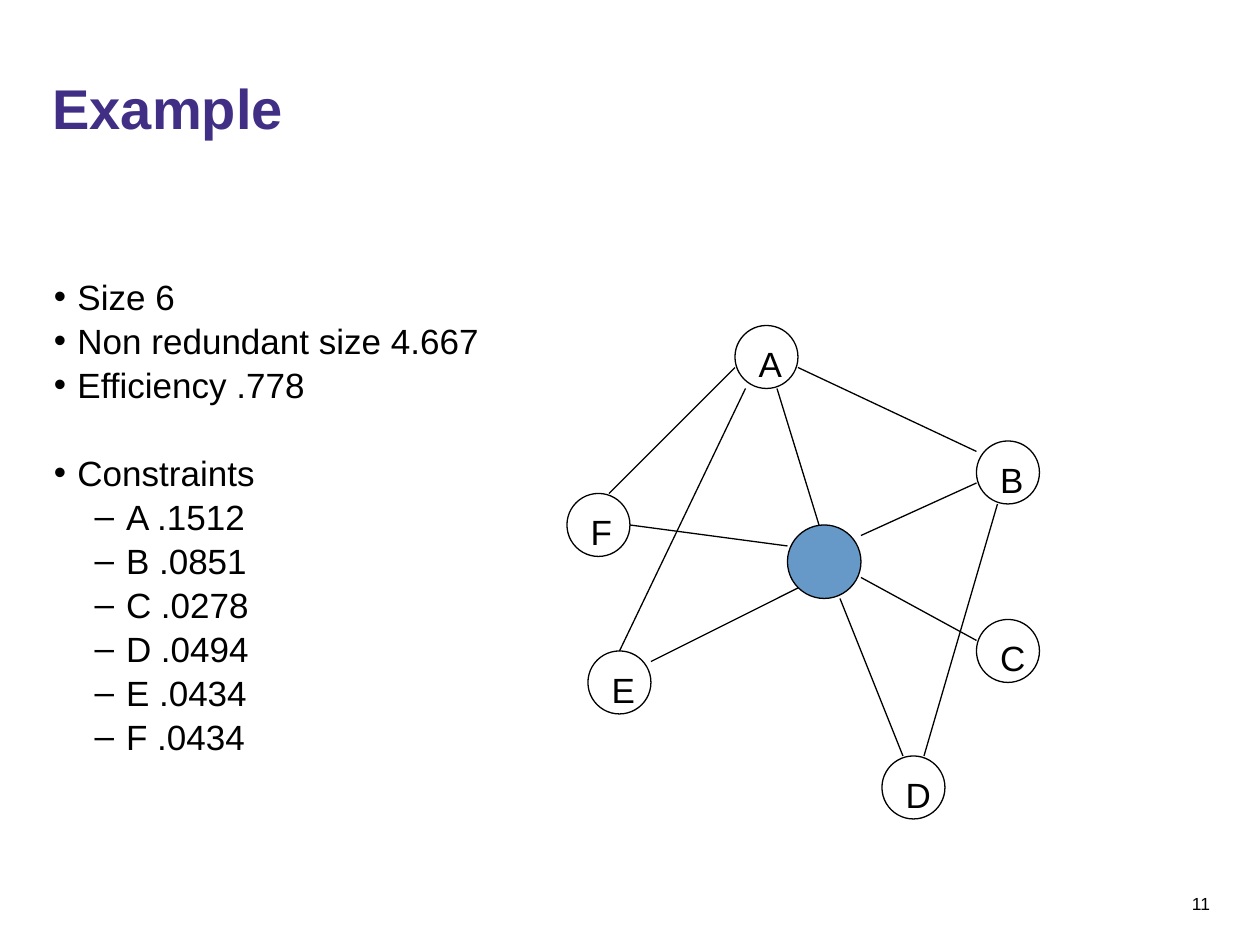
from lxml.etree import SubElement
from pptx import Presentation
from pptx.dml.color import RGBColor
from pptx.enum.shapes import MSO_CONNECTOR, MSO_SHAPE
from pptx.enum.text import MSO_ANCHOR, MSO_AUTO_SIZE, PP_ALIGN
from pptx.oxml.ns import qn
from pptx.util import Emu, Pt

SCALE = 9525
BLACK = "000000"
NODE = 48
LABEL_SHIFT = 8
NODES = {
    "F": (432, 376), "E": (448, 496), "D": (672, 576),
    "C": (744, 472), "B": (744, 336), "A": (560, 248),
}
TIES = [
    (656, 408, 744, 368), (608, 448, 496, 504), (600, 416, 480, 400),
    (624, 400, 592, 296), (656, 440, 744, 488), (640, 456, 688, 576),
    (560, 280, 464, 376), (608, 280, 744, 344), (760, 384, 704, 576),
    (568, 296, 472, 496),
]
BULLETS = {0: ("•", 18, 18), 1: ("–", 55, 24)}
MEASURES = [
    (0, "Size 6", 0), (0, "Non redundant size 4.667", 0),
    (0, "Efficiency .778", 0), (0, "Constraints", 25),
    (1, "A .1512", 0), (1, "B .0851", 0), (1, "C .0278", 0),
    (1, "D .0494", 0), (1, "E .0434", 0), (1, "F .0434", 0),
]


def px(*lengths):
    """Turn pixel lengths into EMU."""
    return [Emu(n * SCALE) for n in lengths]


def color(value):
    """Turn a hex string into a colour."""
    return RGBColor.from_string(value)


def set_attrs(obj, values):
    """Set each attribute named in a dict of format values."""
    for name, value in values.items():
        setattr(obj, name, value)


def format_frame(tf, margins=(0, 0)):
    """Give a text frame fixed size, top anchor and pixel margins."""
    x, y = px(*margins)
    set_attrs(tf, {
        "word_wrap": True, "auto_size": MSO_AUTO_SIZE.NONE,
        "vertical_anchor": MSO_ANCHOR.TOP,
        "margin_left": x, "margin_right": x,
        "margin_top": y, "margin_bottom": y,
    })


def write(p, text, size, hex_color=BLACK, bold=False, align=PP_ALIGN.LEFT):
    """Write one formatted run into a paragraph."""
    p.alignment = align
    r = p.add_run()
    r.text = text
    set_attrs(r.font, {"name": "Arial", "size": Pt(size), "bold": bold})
    r.font.color.rgb = color(hex_color)


def add_title(s, text):
    """Place and format the title placeholder."""
    sp = s.shapes.title
    sp.left, sp.top, sp.width, sp.height = px(40, 56, 878, 96)
    format_frame(sp.text_frame)
    write(sp.text_frame.paragraphs[0], text, 32, "412F86", True)


def add_text(s, box, text, size, margins=(0, 0), align=PP_ALIGN.LEFT):
    """Add a text box with a single line."""
    tf = s.shapes.add_textbox(*px(*box)).text_frame
    format_frame(tf, margins)
    write(tf.paragraphs[0], text, size, align=align)


def set_bullet(p, level):
    """Give a paragraph its level, hanging indent and bullet."""
    char, left, hang = BULLETS[level]
    p.level = level
    left, hang = px(left, hang)
    pPr = p._p.get_or_add_pPr()
    pPr.set("marL", str(left))
    pPr.set("indent", str(-hang))
    SubElement(pPr, qn("a:buFont"), typeface="Arial")
    SubElement(pPr, qn("a:buChar"), char=char)


def add_measures(s, box):
    """Add the bulleted list of network measures."""
    tf = s.shapes.add_textbox(*px(*box)).text_frame
    format_frame(tf)
    for i, (level, text, gap) in enumerate(MEASURES):
        p = tf.add_paragraph() if i else tf.paragraphs[0]
        set_attrs(p, {"line_spacing": 1.05, "space_before": Pt(gap)})
        set_bullet(p, level)
        write(p, text, 20)


def add_circle(s, x, y, size, fill=None):
    """Add an outlined circle, filled if a colour is given."""
    sp = s.shapes.add_shape(MSO_SHAPE.OVAL, *px(x, y, size, size))
    sp.shadow.inherit = False
    if fill:
        sp.fill.solid()
        sp.fill.fore_color.rgb = color(fill)
    else:
        sp.fill.background()
    sp.line.color.rgb = color(BLACK)
    sp.line.width = Pt(0.75)


def add_node(s, label, x, y):
    """Add a circle with its letter."""
    add_circle(s, x, y, NODE)
    box = (x + LABEL_SHIFT, y + LABEL_SHIFT, NODE, 42)
    add_text(s, box, label, 20, (10, 5))


def add_tie(s, ends):
    """Add a straight line between two points."""
    line = s.shapes.add_connector(MSO_CONNECTOR.STRAIGHT, *px(*ends))
    line.line.color.rgb = color(BLACK)
    line.line.width = Pt(0.75)
    SubElement(line._element.spPr, qn("a:effectLst"))


def main():
    """Build the slide and save it."""
    prs = Presentation()
    prs.slide_width, prs.slide_height = px(960, 720)
    s = prs.slides.add_slide(prs.slide_layouts[5])
    add_text(s, (888, 680, 34, 16), "11", 10, align=PP_ALIGN.RIGHT)
    add_title(s, "Example")
    add_measures(s, (41, 208, 359, 432))
    add_circle(s, 600, 400, 56, "6799C8")
    for label, (x, y) in NODES.items():
        add_node(s, label, x, y)
    for ends in TIES:
        add_tie(s, ends)
    prs.save("out.pptx")


if __name__ == "__main__":
    main()
